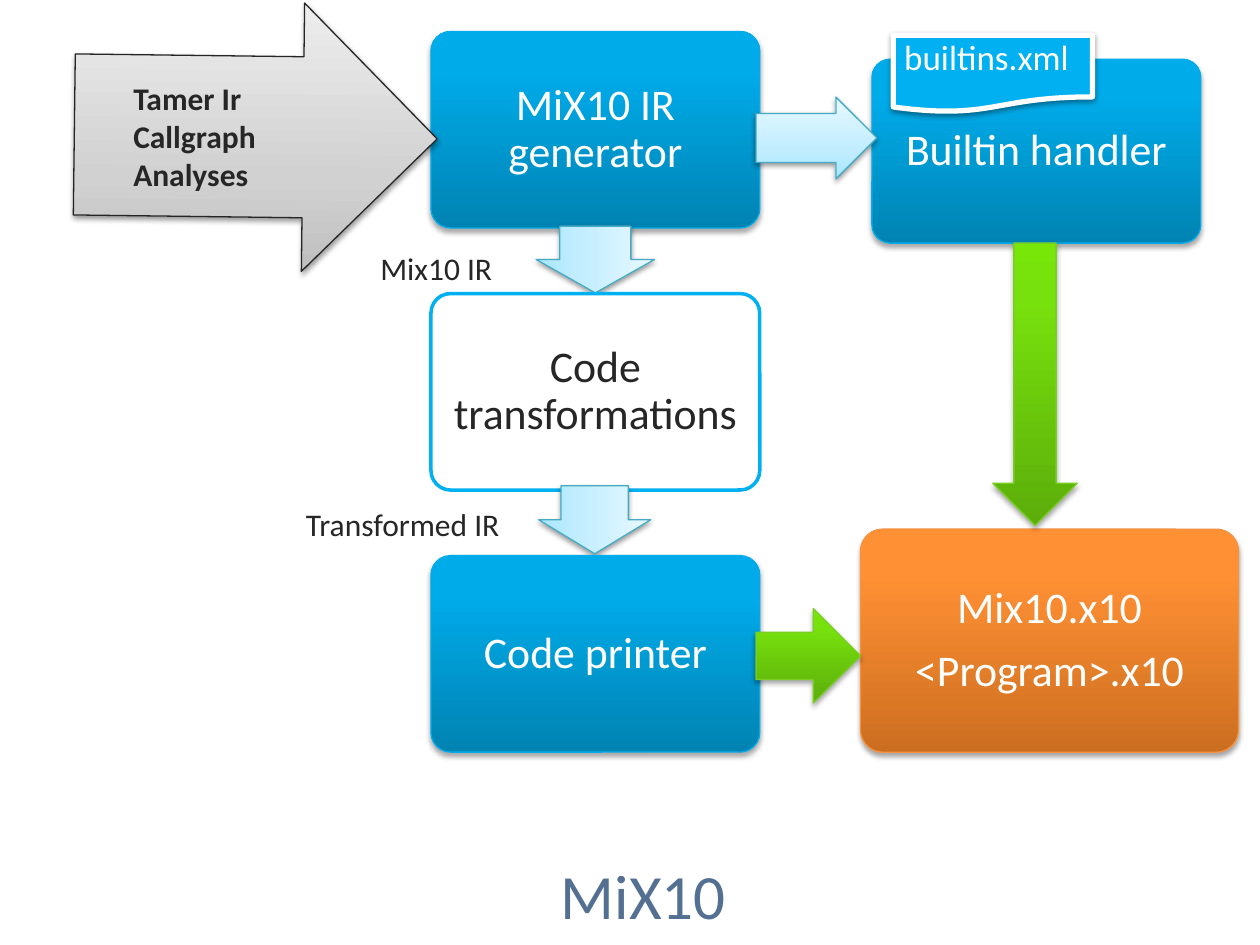
from dataclasses import dataclass
from typing import Optional

from lxml import etree
from pptx import Presentation
from pptx import util as u
from pptx.dml.color import RGBColor
from pptx.enum import shapes, text
from pptx.oxml.ns import qn

COLUMNS, ROWS = 100, 75
CELL = u.Inches(0.1)
STAGE_LEFT, STAGE_TOP, STAGE_STEP = 34.2, 2.5, 20.8
STAGE_WIDTH, STAGE_HEIGHT = 26.1, 15.6
FONT, DARK, WHITE = "Calibri", "262626", "FFFFFF"
KIND = shapes.MSO_SHAPE
CENTER, LEFT = text.PP_ALIGN.CENTER, text.PP_ALIGN.LEFT


@dataclass(frozen=True)
class Style:
    """Fill stops run from bottom to top; shadow is (opacity %, distance pt)."""
    stops: tuple[tuple[int, str], ...]
    line: str
    line_width: float = 0.75
    shadow: Optional[tuple[int, float]] = (35, 1.8)
    ink: str = WHITE


SOFT = (38, 1.6)
BLUE = Style(((0, "0083B3"), (80, "00ABE9"), (100, "00ABEA")), "00ACEB")
ORANGE = Style(((0, "CC6E20"), (80, "FF9034"), (100, "FF9136")), "F69240")
GREEN = Style(((0, "5CAD0A"), (80, "77E10D"), (100, "78E609")), "78CF22")
PALE = Style(((0, "A7E6FF"), (35, "C1EDFF"), (100, "E7F8FF")), "46AAC5", shadow=SOFT)
GRAY = Style(((0, "BEBEBE"), (35, "D1D1D1"), (100, "EEEEEE")), "252525", shadow=SOFT)
OUTLINE = Style(((0, WHITE),), "00B0F0", 2, None, DARK)
DOCUMENT = Style(((0, "00B0F0"),), WHITE, 3, SOFT)


@dataclass(frozen=True)
class Block:
    """Place is left, top, width, height in grid cells."""
    kind: shapes.MSO_SHAPE
    place: tuple[float, float, float, float]
    style: Style
    lines: tuple[str, ...] = ()
    adjustments: tuple[float, ...] = ()
    rotation: float = 0


@dataclass(frozen=True)
class Label:
    place: tuple[float, float, float, float]
    lines: tuple[str, ...]
    size: float = 18
    ink: str = DARK
    align: text.PP_ALIGN = LEFT
    bold: bool = False


def stage(row: int, style: Style, words: str) -> Block:
    place = (STAGE_LEFT, STAGE_TOP + row * STAGE_STEP, STAGE_WIDTH, STAGE_HEIGHT)
    return Block(KIND.ROUNDED_RECTANGLE, place, style, (words,), (0.1,))


def flow_arrow(place: tuple[float, float, float, float], style: Style = PALE,
               rotation: float = 0) -> Block:
    return Block(KIND.RIGHT_ARROW, place, style, (), (0.6, 0.5), rotation)


BLOCKS = [
    stage(0, BLUE, "MiX10 IR generator"),
    flow_arrow((44.6, 15.9, 5.3, 9.4), rotation=90),
    stage(1, OUTLINE, "Code transformations"),
    flow_arrow((44.5, 36.8, 5.4, 8.9), rotation=90),
    stage(2, BLUE, "Code printer"),
    flow_arrow((5.9, 0.2, 28.8, 21.3), GRAY, 0.7),
    Block(KIND.ROUNDED_RECTANGLE, (69.2, 4.7, STAGE_WIDTH, 14.6), BLUE,
          ("Builtin handler",), (0.1,)),
    flow_arrow((60, 7.7, 9.6, 6.5)),
    Block(KIND.ROUNDED_RECTANGLE, (68.3, 42, 30, 17.7), ORANGE,
          ("Mix10.x10", "<Program>.x10"), (0.1,)),
    Block(KIND.DOWN_ARROW, (78.8, 19.3, 6.7, 22.4), GREEN),
    Block(KIND.RIGHT_ARROW, (60, 48.3, 8.3, 7.5), GREEN),
    Block(KIND.FLOWCHART_DOCUMENT, (70.9, 2.8, 15.8, 6.1), DOCUMENT),
]
LABELS = [
    Label((9.6, 5.8, 16.7, 10.1), ("Tamer Ir", "Callgraph", "Analyses"), bold=True),
    Label((29.2, 19.3, 11.2, 4.1), ("Mix10 IR",)),
    Label((23.3, 39.6, 19.8, 4), ("Transformed IR",)),
    Label((70.4, 2.3, 15.8, 4.4), ("builtins.xml",), 20, WHITE, CENTER),
]
TITLE = Label((22.9, 67.5, 56.3, 7.1), ("MiX10",), 36, "2E507A", CENTER)


def rgb(value: str) -> RGBColor:
    return RGBColor.from_string(value)


def cells(place: tuple[float, ...]) -> list[int]:
    return [round(length * CELL) for length in place]


def add_color(parent, value: str, opacity: int = 100) -> None:
    color = etree.SubElement(parent, qn("a:srgbClr"), val=value)
    if opacity < 100:
        etree.SubElement(color, qn("a:alpha"), val=str(opacity * 1000))


def apply_style(shape, style: Style) -> None:
    if len(style.stops) == 1:
        shape.fill.solid()
        shape.fill.fore_color.rgb = rgb(style.stops[0][1])
    else:
        shape.fill.gradient()
        shape.fill.gradient_angle = 90
        stop_list = shape.element.spPr.find(".//" + qn("a:gsLst"))
        for stop in list(stop_list):
            stop_list.remove(stop)
        for position, value in style.stops:
            stop = etree.SubElement(stop_list, qn("a:gs"), pos=str(position * 1000))
            add_color(stop, value)
    shape.line.color.rgb = rgb(style.line)
    shape.line.width = u.Pt(style.line_width)
    shape.shadow.inherit = False
    if style.shadow:
        opacity, distance = style.shadow
        effects = shape.element.spPr.find(qn("a:effectLst"))
        shadow = etree.SubElement(
            effects, qn("a:outerShdw"), blurRad=str(u.Pt(3.1)),
            dist=str(u.Pt(distance)), dir="5400000", rotWithShape="0")
        add_color(shadow, "000000", opacity)


def write(frame, lines: tuple[str, ...], size: float, ink: str,
          align: text.PP_ALIGN, bold: bool = False) -> None:
    frame.word_wrap = True
    frame.text = "\n".join(lines)
    for para in frame.paragraphs:
        para.alignment = align
        para.font.name, para.font.size, para.font.bold = FONT, u.Pt(size), bold
        para.font.color.rgb = rgb(ink)


def draw_block(page, block: Block) -> None:
    shape = page.shapes.add_shape(block.kind, *cells(block.place))
    shape.rotation = block.rotation
    for index, value in enumerate(block.adjustments):
        shape.adjustments[index] = value
    apply_style(shape, block.style)
    if block.lines:
        frame = shape.text_frame
        write(frame, block.lines, 25, block.style.ink, CENTER)
        frame.vertical_anchor = text.MSO_ANCHOR.MIDDLE
        frame.margin_left = frame.margin_right = CELL
        frame.margin_top = frame.margin_bottom = CELL
        for para in frame.paragraphs:
            para.line_spacing = 0.9
            para.space_after = u.Pt(8.75)


def draw_label(page, label: Label) -> None:
    box = page.shapes.add_textbox(*cells(label.place))
    write(box.text_frame, label.lines, label.size, label.ink, label.align, label.bold)


def set_title(page, label: Label) -> None:
    title = page.shapes.title
    title.left, title.top, title.width, title.height = cells(label.place)
    frame = title.text_frame
    write(frame, label.lines, label.size, label.ink, label.align)
    frame.vertical_anchor = text.MSO_ANCHOR.TOP
    for color in title.element.iter(qn("a:srgbClr")):
        etree.SubElement(color, qn("a:alpha"), val="81000")


def main() -> None:
    deck = Presentation()
    deck.slide_width, deck.slide_height = COLUMNS * CELL, ROWS * CELL
    page = deck.slides.add_slide(deck.slide_layouts[5])
    set_title(page, TITLE)
    for block in BLOCKS:
        draw_block(page, block)
    for label in LABELS:
        draw_label(page, label)
    deck.save("out.pptx")


if __name__ == "__main__":
    main()
